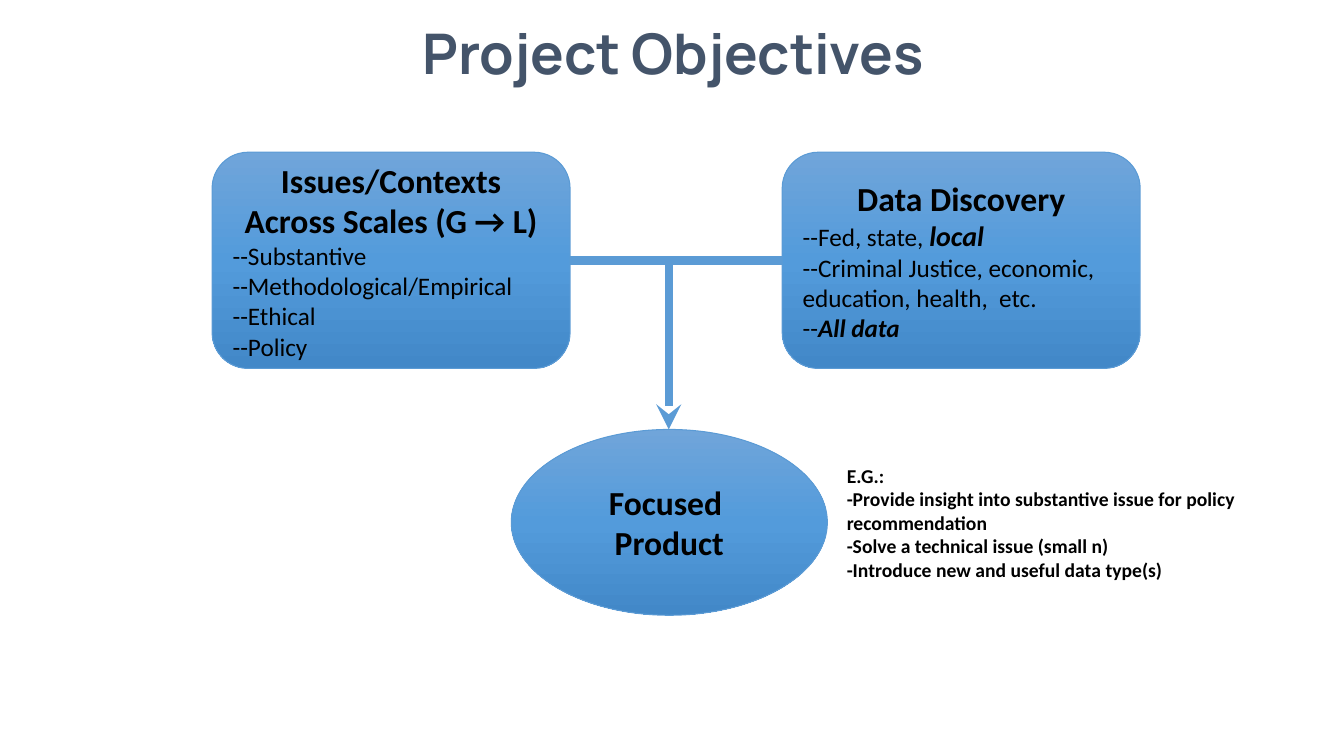
from copy import deepcopy
from dataclasses import dataclass

from lxml import etree
from pptx import Presentation
from pptx import util as u
from pptx.dml.color import RGBColor
from pptx.enum import shapes, text
from pptx.oxml.ns import qn

# Content: each paragraph is (kind, spans); each span is (wording, emphasis)
TITLE = "Project Objectives"
ISSUES = [
    ("heading", [("Issues/Contexts", "")]),
    ("heading", [("Across Scales (G → L)", "")]),
    ("item", [("--Substantive", "")]),
    ("item", [("--Methodological/Empirical", "")]),
    ("item", [("--Ethical", "")]),
    ("item", [("--Policy", "")]),
]
DISCOVERY = [
    ("heading", [("Data Discovery", "")]),
    ("item", [("--Fed, state, ", ""), ("local", "large")]),
    ("item", [("--Criminal Justice, economic, education, health,  etc.", "")]),
    ("item", [("--", ""), ("All data", "strong")]),
]
PRODUCT = [("heading", [("Focused ", "")]), ("heading", [("Product", "")])]
EXAMPLES = [
    ("note", [("E.G.:", "")]),
    ("note", [("-Provide insight into substantive issue for policy", "")]),
    ("note", [("recommendation", "")]),
    ("note", [("-Solve a technical issue (small n)", "")]),
    ("note", [("-Introduce new and useful data type(s)", "")]),
]


@dataclass(frozen=True)
class Theme:
    title_font: str = "Manrope"
    body_font: str = "Calibri"
    title: str = "44546A"
    ink: str = "000000"
    line: str = "5B9BD5"
    gradient: tuple = ((0, "70A5DA"), (0.5, "539BDB"), (1, "4288C8"))
    title_size: int = 40
    heading_size: int = 24
    large_size: int = 20
    item_size: int = 18
    note_size: int = 14
    outline: float = 0.75
    connector: int = 6


THEME = Theme()
KINDS = {  # size, bold, alignment
    "heading": (THEME.heading_size, True, text.PP_ALIGN.CENTER),
    "item": (THEME.item_size, False, text.PP_ALIGN.LEFT),
    "note": (THEME.note_size, True, text.PP_ALIGN.LEFT),
}
EMPHASIS_SIZES = {"large": THEME.large_size, "strong": THEME.item_size}

# Layout in px, 96 to the inch
PX = 9525
PAGE_W, PAGE_H = 1280, 720
TITLE_AREA = (47, 0, 1188, 108)
BOX_TOP, BOX_W, BOX_H = 145, 341, 206
LEFT_X, RIGHT_X = 202, 745
OVAL = (487, 409, 301, 177)
NOTE_AREA = (797, 437, 394, 123)
JOIN_X = OVAL[0] + OVAL[2] // 2
JOIN_Y = BOX_TOP + BOX_H // 2


def emu(*lengths):
    return [u.Emu(length * PX) for length in lengths]


def style_font(font, name, size, color, bold):
    font.name, font.size, font.bold = name, u.Pt(size), bold
    font.color.rgb = RGBColor.from_string(color)


def write(frame, content):
    frame.word_wrap = True
    for index, (kind, spans) in enumerate(content):
        para = frame.paragraphs[0] if index == 0 else frame.add_paragraph()
        size, bold, para.alignment = KINDS[kind]
        style_font(para.font, THEME.body_font, size, THEME.ink, bold)
        for wording, emphasis in spans:
            span = para.add_run()
            span.text = wording
            if emphasis:
                span.font.size = u.Pt(EMPHASIS_SIZES[emphasis])
                span.font.bold = span.font.italic = True


def add_block(page, preset, area, content):
    block = page.shapes.add_shape(preset, *emu(*area))
    block.shadow.inherit = False
    block.line.color.rgb = RGBColor.from_string(THEME.line)
    block.line.width = u.Pt(THEME.outline)
    block.fill.gradient()
    block.fill.gradient_angle = 270
    stop_list = block._element.spPr.find(".//" + qn("a:gsLst"))
    stop_list.append(deepcopy(stop_list[-1]))
    for stop, (position, color) in zip(block.fill.gradient_stops, THEME.gradient):
        stop.position = position
        stop.color.rgb = RGBColor.from_string(color)
    block.text_frame.vertical_anchor = text.MSO_ANCHOR.MIDDLE
    write(block.text_frame, content)


def add_link(page, kind, start, end):
    link = page.shapes.add_connector(kind, *emu(*start, *end))
    link.line.color.rgb = RGBColor.from_string(THEME.line)
    link.line.width = u.Pt(THEME.connector)
    etree.SubElement(link._element.spPr, qn("a:effectLst"))
    return link


def main():
    deck = Presentation()
    deck.slide_width, deck.slide_height = emu(PAGE_W, PAGE_H)
    page = deck.slides.add_slide(deck.slide_layouts[5])

    # Title
    title = page.shapes.title
    title.left, title.top, title.width, title.height = emu(*TITLE_AREA)
    title.text_frame.text = TITLE
    title.text_frame.auto_size = text.MSO_AUTO_SIZE.NONE
    title.text_frame.vertical_anchor = text.MSO_ANCHOR.MIDDLE
    para = title.text_frame.paragraphs[0]
    para.alignment, para.line_spacing = text.PP_ALIGN.CENTER, 0.9
    style_font(para.font, THEME.title_font, THEME.title_size, THEME.title, True)

    # Two input boxes
    for left, content in ((LEFT_X, ISSUES), (RIGHT_X, DISCOVERY)):
        area = (left, BOX_TOP, BOX_W, BOX_H)
        add_block(page, shapes.MSO_SHAPE.ROUNDED_RECTANGLE, area, content)

    # Links that meet and point down to the product
    arrow = add_link(page, shapes.MSO_CONNECTOR.ELBOW,
                     (RIGHT_X, JOIN_Y), (JOIN_X, OVAL[1]))
    arrow._element.spPr.find(qn("a:prstGeom")).set("prst", "bentConnector2")
    etree.SubElement(arrow._element.spPr.find(qn("a:ln")), qn("a:tailEnd"), type="stealth")
    add_link(page, shapes.MSO_CONNECTOR.STRAIGHT,
             (LEFT_X + BOX_W, JOIN_Y), (JOIN_X, JOIN_Y))

    # Product and its examples
    add_block(page, shapes.MSO_SHAPE.OVAL, OVAL, PRODUCT)
    note = page.shapes.add_textbox(*emu(*NOTE_AREA))
    write(note.text_frame, EXAMPLES)

    deck.save("out.pptx")


if __name__ == "__main__":
    main()
